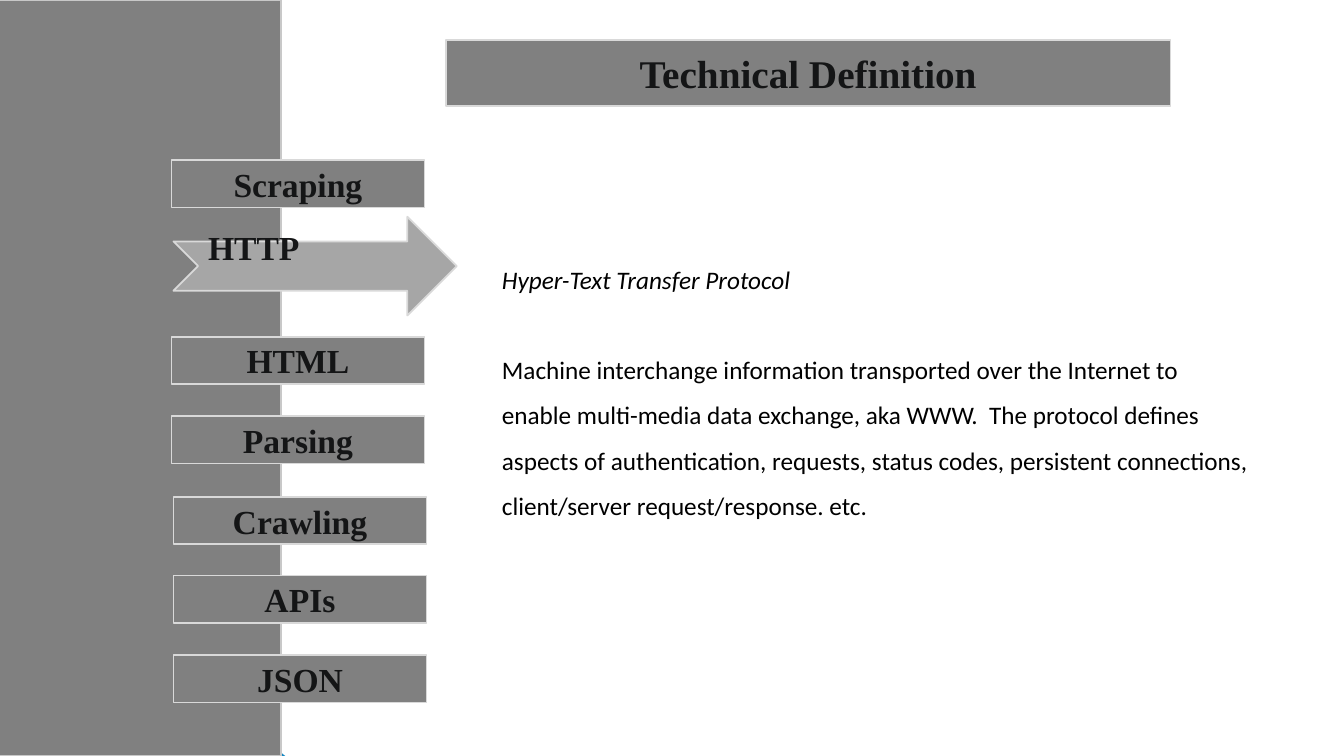
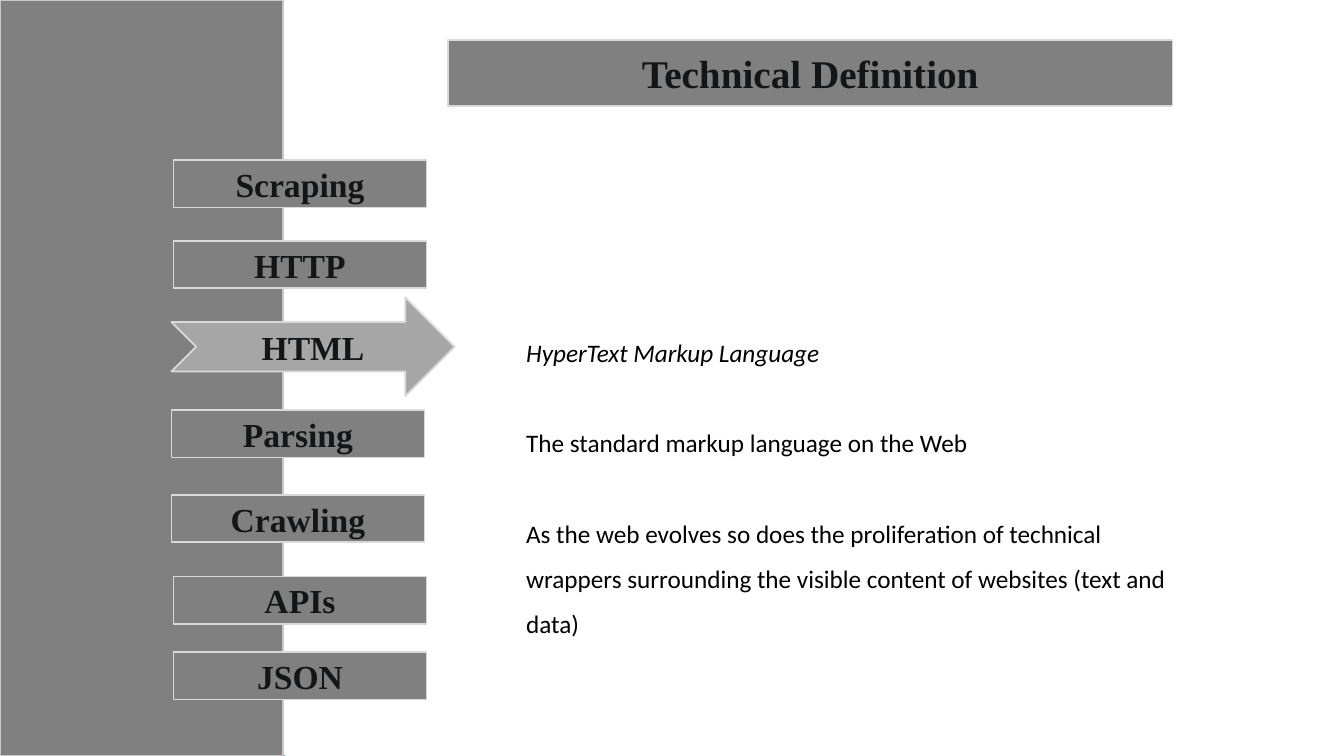
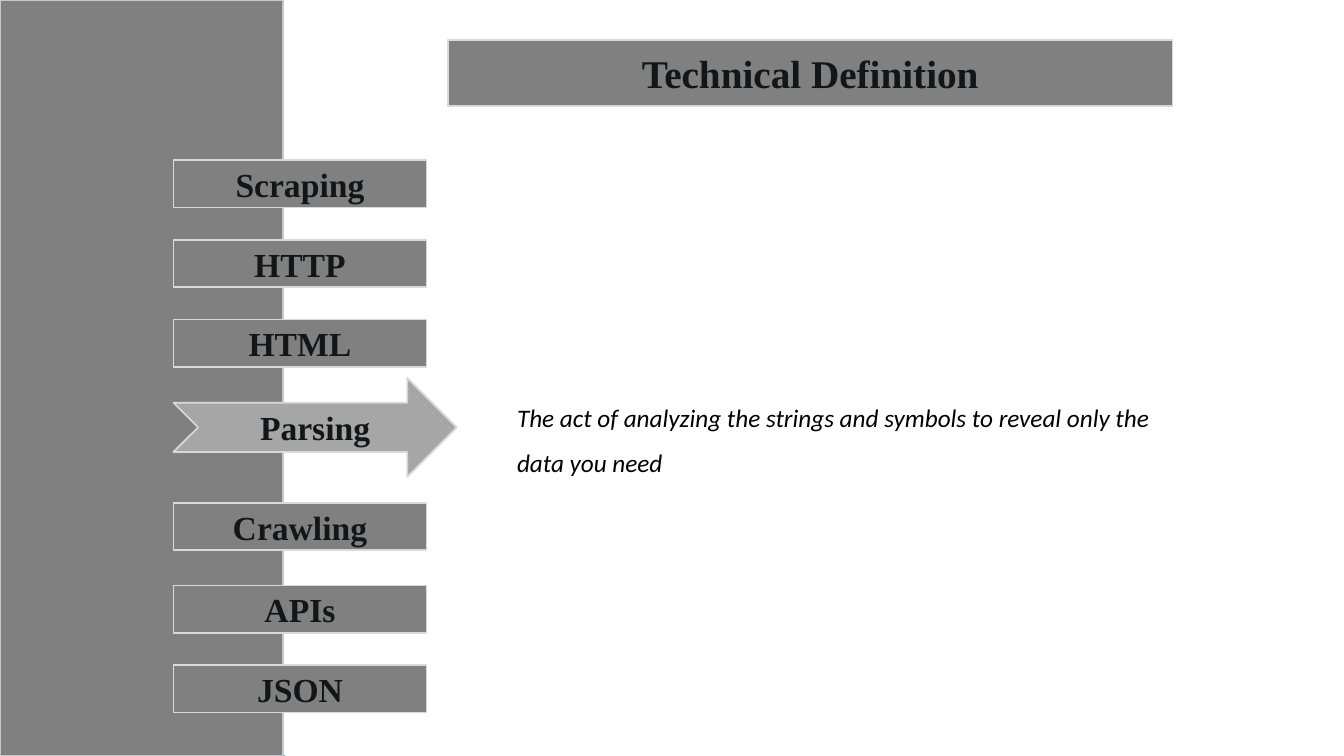
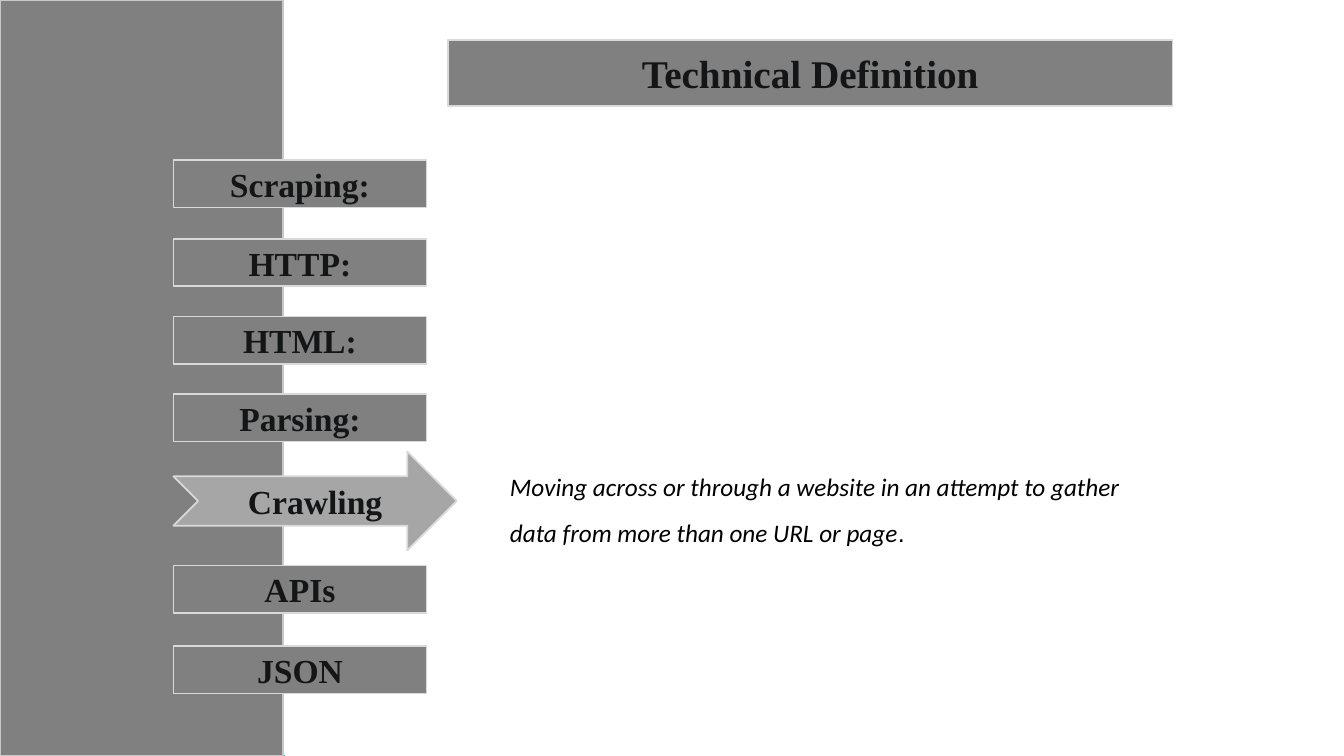
import pptx
import pptx.util
import pptx.dml.color
import pptx.enum.shapes
import pptx.enum.text

Inches, Pt = pptx.util.Inches, pptx.util.Pt
RGB = pptx.dml.color.RGBColor
SHAPE = pptx.enum.shapes.MSO_SHAPE
ALIGN = pptx.enum.text.PP_ALIGN
ANCHOR = pptx.enum.text.MSO_ANCHOR

GREY = RGB(0x80, 0x80, 0x80)
LIGHT_GREY = RGB(0xA6, 0xA6, 0xA6)
BAND_EDGE = RGB(0xC8, 0xC8, 0xC8)
EDGE = RGB(0xD9, 0xD9, 0xD9)
INK = RGB(0x14, 0x15, 0x16)
BLACK = RGB(0, 0, 0)
BLUE = RGB(0x12, 0x87, 0xC3)

WIDTH, HEIGHT = 13.33, 7.5
BAND_W = 2.81
TITLE_BOX = (4.44, 0.4, 7.19, 0.65)
LABEL_X, LABEL_W, LABEL_H = 1.72, 2.51, 0.47
ARROW_W, ARROW_H = 2.81, 0.98
OUTDENT = 0.02
LINE_GAP = 32
FACET = [(0.5, 5.79), (2.14, 7.5), (2.83, 7.5), (0.77, 5.83), (0.5, 5.78)]

TITLE = "Technical Definition"
TERMS = ["Scraping", "HTTP", "HTML", "Parsing", "Crawling", "APIs", "JSON"]
SLIDES = [
    dict(
        current="HTTP", tops=[1.59, 2.15, 3.34, 4.13, 4.93, 5.71, 6.5],
        outdented=["band", "title", "Scraping", "HTML", "Parsing"],
        box=(4.88, 2.42, 7.63, 2.78), arrow_text=dict(align=ALIGN.LEFT, bottom=0.43),
        body=[
            [("Hyper-Text Transfer Protocol", dict(italic=True))],
            [("Machine interchange information transported over the Internet to enable "
              "multi-media data exchange, aka WWW.  The protocol defines aspects of "
              "authentication, requests, status codes, persistent connections, "
              "client/server request/response. etc.", {})],
        ]),
    dict(
        current="HTML", tops=[1.59, 2.39, 2.95, 4.07, 4.91, 5.72, 6.47],
        outdented=["HTML", "Parsing", "Crawling"],
        box=(5.12, 3.15, 6.67, 3.23),
        body=[
            [("HyperText Markup Language", dict(italic=True))],
            [("The standard markup language on the Web", {})],
            [("As the web evolves so does the proliferation of technical wrappers "
              "surrounding the visible content of websites (text and data)", {})],
        ]),
    dict(
        current="Parsing", tops=[1.59, 2.38, 3.17, 3.75, 4.99, 5.81, 6.6],
        box=(5.03, 3.79, 6.67, 0.96),
        body=[[("The act of analyzing the strings and symbols to reveal only the "
                "data you need", dict(italic=True))]]),
    dict(
        current="Crawling", tops=[1.59, 2.37, 3.14, 3.91, 4.48, 5.61, 6.41],
        colons=["Scraping", "HTTP", "HTML", "Parsing"],
        box=(4.96, 4.48, 6.67, 0.96),
        body=[[("Moving across or through a website in an attempt to gather data "
                "from more than one URL or page", dict(italic=True)),
               (".", dict(font="Arial"))]]),
]


def add_run(p, text, font="Calibri", size=18, color=BLACK, bold=False, italic=False):
    r = p.add_run()
    r.text = text
    r.font.name, r.font.size = font, Pt(size)
    r.font.bold, r.font.italic = bold, italic
    r.font.color.rgb = color


def add_box(s, kind, box, fill=GREY, edge=EDGE, text="", size=24,
            align=ALIGN.CENTER, bottom=0.05):
    sp = s.shapes.add_shape(kind, *map(Inches, box))
    sp.shadow.inherit = False
    sp.fill.solid()
    sp.fill.fore_color.rgb = fill
    sp.line.color.rgb = edge
    sp.line.width = Pt(1.25)
    if text:
        tf = sp.text_frame
        tf.vertical_anchor = ANCHOR.MIDDLE
        tf.margin_bottom = Inches(bottom)
        p = tf.paragraphs[0]
        p.alignment = align
        add_run(p, text, "Times New Roman", size, INK, bold=True)


def add_facet(s):
    points = [(Inches(x), Inches(y)) for x, y in FACET]
    fb = s.shapes.build_freeform(*points[0])
    fb.add_line_segments(points[1:], close=True)
    sp = fb.convert_to_shape()
    sp.shadow.inherit = False
    sp.fill.solid()
    sp.fill.fore_color.rgb = BLUE
    sp.line.fill.background()


def add_body(s, box, paragraphs):
    tf = s.shapes.add_textbox(*map(Inches, box)).text_frame
    tf.word_wrap = True
    for i, runs in enumerate(paragraphs):
        p = tf.add_paragraph() if i else tf.paragraphs[0]
        p.line_spacing = 1.5
        p.space_before = Pt(LINE_GAP if i else 0)
        for text, style in runs:
            add_run(p, text, **style)


def add_slide(prs, page):
    s = prs.slides.add_slide(prs.slide_layouts[6])
    outdented = page.get("outdented", [])

    def left(name, x):
        return x - OUTDENT if name in outdented else x

    add_facet(s)
    add_body(s, page["box"], page["body"])
    add_box(s, SHAPE.RECTANGLE, (left("band", 0), 0, BAND_W, HEIGHT), edge=BAND_EDGE)
    add_box(s, SHAPE.RECTANGLE, (left("title", TITLE_BOX[0]), *TITLE_BOX[1:]),
            text=TITLE, size=28)
    for term, top in zip(TERMS, page["tops"]):
        x = left(term, LABEL_X)
        if term == page["current"]:
            add_box(s, SHAPE.NOTCHED_RIGHT_ARROW, (x, top, ARROW_W, ARROW_H),
                    fill=LIGHT_GREY, text=term, **page.get("arrow_text", {}))
        else:
            colon = ":" if term in page.get("colons", []) else ""
            add_box(s, SHAPE.RECTANGLE, (x, top, LABEL_W, LABEL_H), text=term + colon)


def main():
    prs = pptx.Presentation()
    prs.slide_width, prs.slide_height = Inches(WIDTH), Inches(HEIGHT)
    for page in SLIDES:
        add_slide(prs, page)
    prs.save("out.pptx")


if __name__ == "__main__":
    main()
